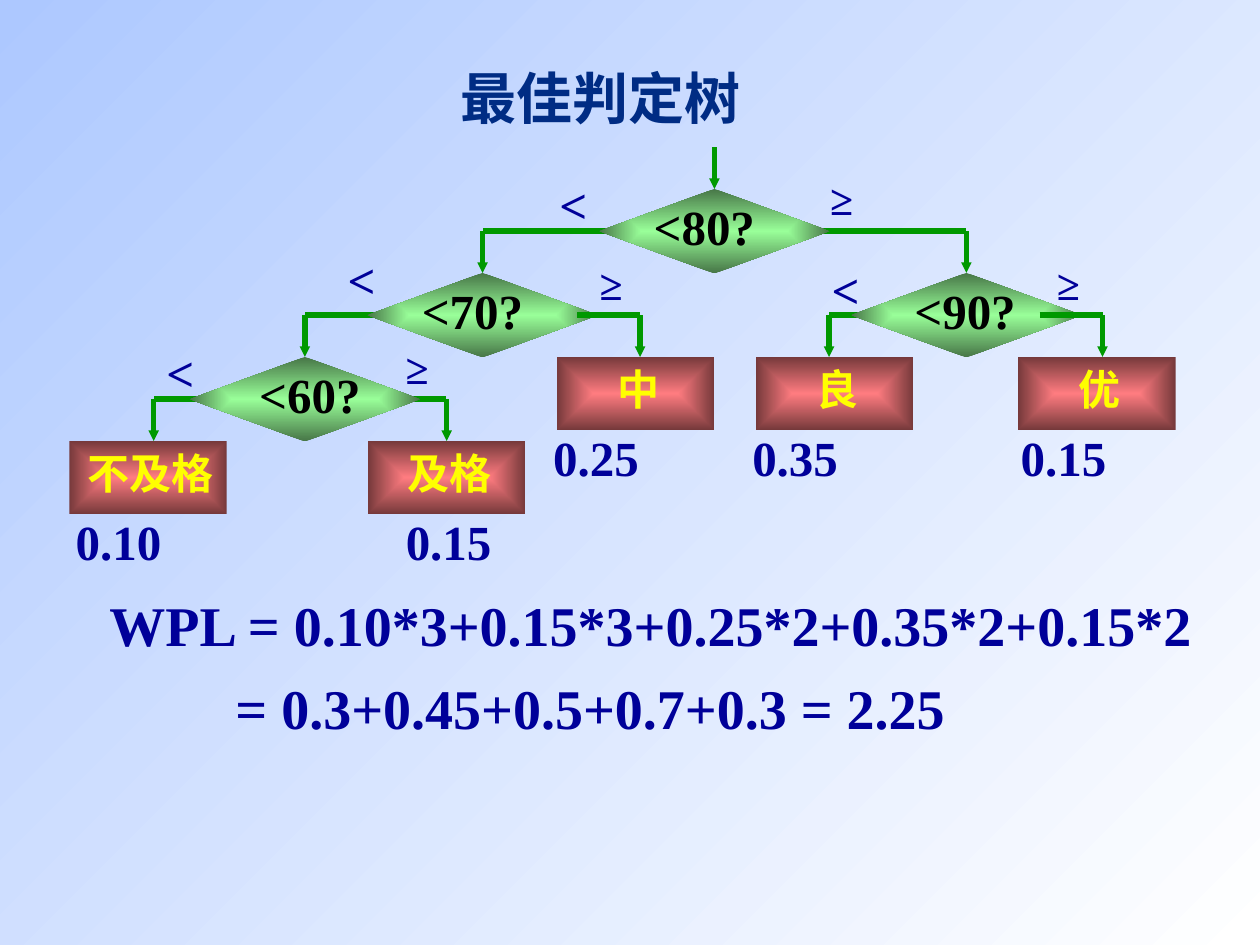
from lxml import etree
from pptx import Presentation
from pptx.dml.color import RGBColor
from pptx.enum.shapes import MSO_CONNECTOR as Connector, MSO_SHAPE as Shape
from pptx.enum.text import MSO_ANCHOR as Anchor, MSO_AUTO_SIZE as AutoSize, PP_ALIGN as Align
from pptx.oxml import parse_xml
from pptx.oxml.ns import qn
from pptx.util import Inches, Pt

FONT = "Times New Roman"
COLORS = {
    "sky": "ADC8FF", "white": "FFFFFF", "title": "002C84", "text": "000099",
    "line": "009900", "leaf_name": "FFFF00", "question": "000000",
    "green": "99FF99", "dark_green": "477647", "red": "FF7C80", "dark_red": "76393B",
}
TITLE = "最佳判定树"
TOP, STEP = 1.5, 2 / 3
DECISION_W, DECISION_H = 1.83, 0.67
LEAF_W, LEAF_H = 1.25, 0.58

# question, centre, level, text left
DECISIONS = [
    ("<60?", 2.42, 2, 1.96),
    ("<70?", 3.83, 1, 3.25),
    ("<80?", 5.67, 0, 5.09),
    ("<90?", 7.67, 1, 7.16),
]
# name, left, level, name width, weight, weight left
LEAVES = [
    ("不及格", 0.55, 3, 1.2, "0.10", 0.5),
    ("及格", 2.92, 3, 0.86, "0.15", 3.12),
    ("中", 4.42, 2, 0.53, "0.25", 4.29),
    ("良", 6, 2, 0.53, "0.35", 5.87),
    ("优", 8.08, 2, 0.53, "0.15", 8),
]
# child, level of parent, start, turn, drawn over the decision
BRANCHES = [
    ("良", 1, 6.92, 6.58, False),
    ("<90?", 0, 6.5, 7.67, False),
    ("及格", 2, 3.04, 3.54, False),
    ("<60?", 1, 3.08, 2.42, False),
    ("<70?", 0, 4.83, 3.83, False),
    ("不及格", 2, 1.72, 1.22, False),
    ("中", 1, 4.58, 5.08, True),
    ("优", 1, 8.25, 8.75, True),
]
GREATER = [(3.12, 2.67), (4.66, 2), (6.49, 1.33), (8.29, 2)]
LESS = [(6.5, 2.01), (4.34, 1.33), (1.22, 2.67), (2.66, 1.93)]
FORMULA = ["WPL = 0.10*3+0.15*3+0.25*2+0.35*2+0.15*2", "= 0.3+0.45+0.5+0.7+0.3 = 2.25"]


def rgb(name):
    return RGBColor.from_string(COLORS[name])


def level_top(level):
    return TOP + level * STEP


def write(para, text, size, color, align):
    para.alignment = align
    span = para.add_run()
    span.text = text
    span.font.name, span.font.size, span.font.bold = FONT, Pt(size), True
    span.font.color.rgb = rgb(color)


def fill_frame(frame, text, size, color, align):
    frame.word_wrap = False
    frame.auto_size = AutoSize.NONE
    frame.vertical_anchor = Anchor.MIDDLE
    frame.margin_left = Inches(0.1 if align == Align.LEFT else 0)
    frame.margin_right = 0
    write(frame.paragraphs[0], text, size, color, align)


def add_text(text, left, top, width, height, size=28, color="text", align=Align.CENTER):
    box = page.shapes.add_textbox(Inches(left), Inches(top), Inches(width), Inches(height))
    fill_frame(box.text_frame, text, size, color, align)
    return box.text_frame


def set_gradient(fill, first, last):
    fill.gradient()
    for stop, color in zip(fill.gradient_stops, (first, last)):
        stop.color.rgb = rgb(color)


def add_node(kind, left, top, width, height, first, last):
    node = page.shapes.add_shape(kind, Inches(left), Inches(top), Inches(width), Inches(height))
    node.shadow.inherit = False
    node.line.fill.background()
    set_gradient(node.fill, first, last)
    linear = node.element.spPr.find(qn("a:gradFill")).find(qn("a:lin"))
    linear.getparent().replace(linear, parse_xml(
        '<a:path xmlns:a="http://schemas.openxmlformats.org/drawingml/2006/main" path="rect">'
        '<a:fillToRect l="50000" t="50000" r="50000" b="50000"/></a:path>'))
    return node


def add_line(x1, y1, x2, y2, arrow=False):
    line = page.shapes.add_connector(
        Connector.STRAIGHT, Inches(x1), Inches(y1), Inches(x2), Inches(y2))
    line.line.color.rgb = rgb("line")
    line.line.width = Pt(3)
    if arrow:
        outline = line.element.spPr.find(qn("a:ln"))
        etree.SubElement(outline, qn("a:tailEnd"), type="triangle", w="sm", len="sm")
    etree.SubElement(line.element.spPr, qn("a:effectLst"))
    return line


def join_top(arrow, node):
    arrow.end_connect(node, 0)
    arrow.begin_x = arrow.end_x


def add_arms(over):
    for child, level, start, turn, is_over in BRANCHES:
        if is_over == over:
            y = level_top(level) + STEP / 2
            add_line(start, y, turn, y)


deck = Presentation()
deck.slide_width, deck.slide_height = Inches(10), Inches(7.5)
page = deck.slides.add_slide(deck.slide_layouts[5])
set_gradient(page.background.fill, "sky", "white")
page.background.fill.gradient_angle = 315

title = page.shapes.title
title.left, title.top, title.width, title.height = map(Inches, (3.56, 0.45, 2.42, 0.64))
fill_frame(title.text_frame, TITLE, 32, "title", Align.CENTER)

add_arms(over=False)
nodes = {}
for question, center, level, text_left in DECISIONS:
    nodes[question] = add_node(
        Shape.FLOWCHART_DECISION, center - DECISION_W / 2, level_top(level),
        DECISION_W, DECISION_H, "green", "dark_green")
for name, left, level, name_width, weight, weight_left in LEAVES:
    top = level_top(level)
    nodes[name] = add_node(Shape.RECTANGLE, left, top, LEAF_W, LEAF_H, "red", "dark_red")
    name_left = left + (LEAF_W - name_width) / 2 + 0.02
    add_text(name, name_left, top, name_width, 0.5, size=24, color="leaf_name")
    add_text(weight, weight_left, top + 0.51, 0.88, 0.57)
add_arms(over=True)

entry = add_line(5.67, 1.17, 5.67, TOP, arrow=True)
join_top(entry, nodes["<80?"])
for child, level, start, turn, is_over in BRANCHES:
    top = level_top(level)
    drop = add_line(turn, top + STEP / 2, turn, top + STEP, arrow=True)
    node = nodes[child]
    if abs(node.left + node.width / 2 - Inches(turn)) < Inches(0.01):
        join_top(drop, node)

for question, center, level, text_left in DECISIONS:
    add_text(question, text_left, level_top(level) + 0.01, 1, 0.57, color="question")
for left, top in GREATER:
    add_text("≥", left, top, 0.38, 0.5, size=24)
for left, top in LESS:
    add_text("<", left, top, 0.42, 0.57)

formula = add_text(FORMULA[0], 0.77, 4.64, 8.82, 1.28, size=32, align=Align.LEFT)
para = formula.add_paragraph()
para.space_before = Pt(9)
para._p.get_or_add_pPr().set("marL", str(Inches(1)))
write(para, FORMULA[1], 32, "text", Align.LEFT)

deck.save("out.pptx")
